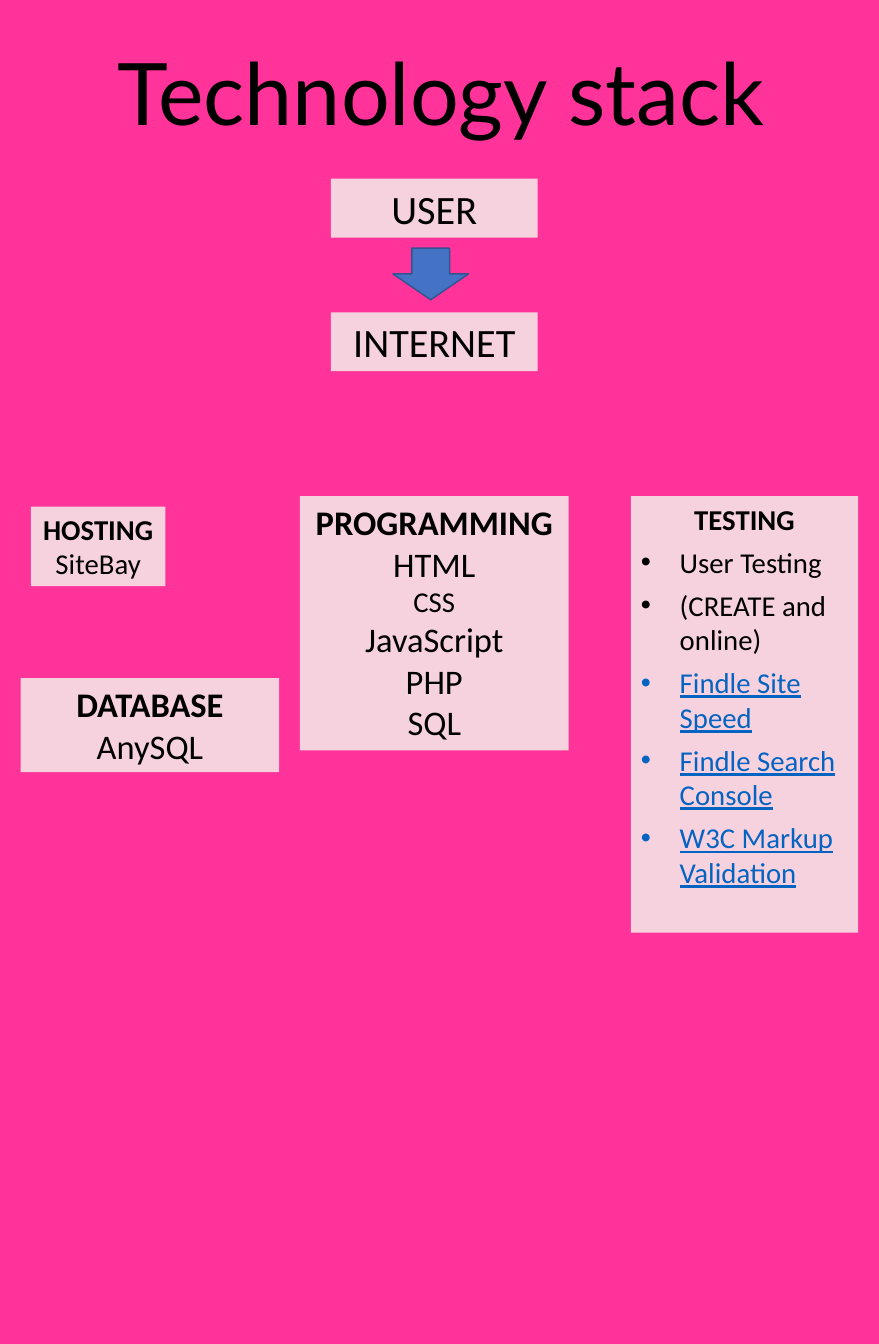
from lxml import etree
from pptx import Presentation
from pptx import util as u
from pptx.dml.color import RGBColor
from pptx.enum import shapes, text
from pptx.oxml.ns import qn

COLOURS = {
    "background": "FF3399",
    "panel": "F6D2DE",
    "ink": "000000",
    "link": "0563C1",
    "arrow": "4472C4",
    "arrow_edge": "325491",
}


class StackSlide:
    body_font = "Calibri"
    title_font = "Lato"
    bullet_font = "Arial"
    bullet_indent = u.Pt(27)

    def __init__(self, deck):
        self.slide = deck.slides.add_slide(deck.slide_layouts[6])
        self.fill(self.slide.background, "background")

    def colour(self, name):
        return RGBColor.from_string(COLOURS[name])

    def fill(self, target, name):
        target.fill.solid()
        target.fill.fore_color.rgb = self.colour(name)

    def shape(self, kind, box, fill):
        shape = self.slide.shapes.add_shape(kind, *map(u.Pt, box))
        shape.shadow.inherit = False
        self.fill(shape, fill)
        return shape

    def line(self, frame, index, words, size, font, colour="ink", bold=False):
        line = frame.add_paragraph() if index else frame.paragraphs[0]
        line.text = words
        line.alignment = text.PP_ALIGN.CENTER
        line.font.name = font
        line.font.size = u.Pt(size)
        line.font.bold = bold
        line.font.color.rgb = self.colour(colour)
        return line

    def bullet(self, line):
        line.alignment = text.PP_ALIGN.LEFT
        line.space_before = u.Pt(6)
        properties = line._p.get_or_add_pPr()
        properties.set("marL", str(self.bullet_indent))
        properties.set("indent", str(-self.bullet_indent))
        defaults = properties.find(qn("a:defRPr"))
        defaults.addprevious(etree.Element(qn("a:buFont"), typeface=self.bullet_font))
        defaults.addprevious(etree.Element(qn("a:buChar"), char="•"))

    def title(self, words, box):
        frame = self.slide.shapes.add_textbox(*map(u.Pt, box)).text_frame
        frame.word_wrap = True
        frame.vertical_anchor = text.MSO_ANCHOR.BOTTOM
        frame.margin_left = frame.margin_right = u.Pt(12)
        frame.margin_top = frame.margin_bottom = u.Pt(6.5)
        self.line(frame, 0, words, 60, self.title_font).line_spacing = 0.9

    def panel(self, box, size, heading, items=(), bold=True, small=(), bullets=False, links=()):
        panel = self.shape(shapes.MSO_SHAPE.RECTANGLE, box, "panel")
        panel.line.fill.background()
        frame = panel.text_frame
        frame.word_wrap = True
        frame.vertical_anchor = text.MSO_ANCHOR.TOP
        self.line(frame, 0, heading, size, self.body_font, bold=bold)
        for index, item in enumerate([*items, *links], 1):
            linked = item in links
            line = self.line(frame, index, item, 20 if item in small else size,
                             self.body_font, "link" if linked else "ink")
            if linked:
                line.font.underline = True
            if bullets:
                self.bullet(line)

    def down_arrow(self, box):
        arrow = self.shape(shapes.MSO_SHAPE.DOWN_ARROW, box, "arrow")
        arrow.line.color.rgb = self.colour("arrow_edge")
        arrow.line.width = u.Pt(1)


def main():
    deck = Presentation()
    deck.slide_width, deck.slide_height = u.Pt(612), u.Pt(936)
    stack = StackSlide(deck)

    for step, top in (("USER", 124.5), ("INTERNET", 217.5)):
        stack.panel((230.4, top, 144, 41), 28, step, bold=False)
    stack.panel((21.6, 352.8, 93.6, 55.4), 20, "HOSTING", ["SiteBay"])
    stack.panel((208.8, 345.6, 187.2, 177), 24, "PROGRAMMING",
                ["HTML", "CSS", "JavaScript", "PHP", "SQL"], small=["CSS"])
    stack.panel((439.2, 345.6, 158.4, 304), 20, "TESTING",
                ["User Testing", "(CREATE and online)"], bullets=True,
                links=["Findle Site Speed", "Findle Search Console",
                       "W3C Markup Validation"])
    stack.panel((14.4, 472.3, 180, 65.5), 24, "DATABASE", ["AnySQL"])
    stack.title("Technology stack", (3, 13.6, 608, 93.6))
    stack.down_arrow((273.6, 172.8, 52.6, 36))

    deck.save("out.pptx")


if __name__ == "__main__":
    main()
